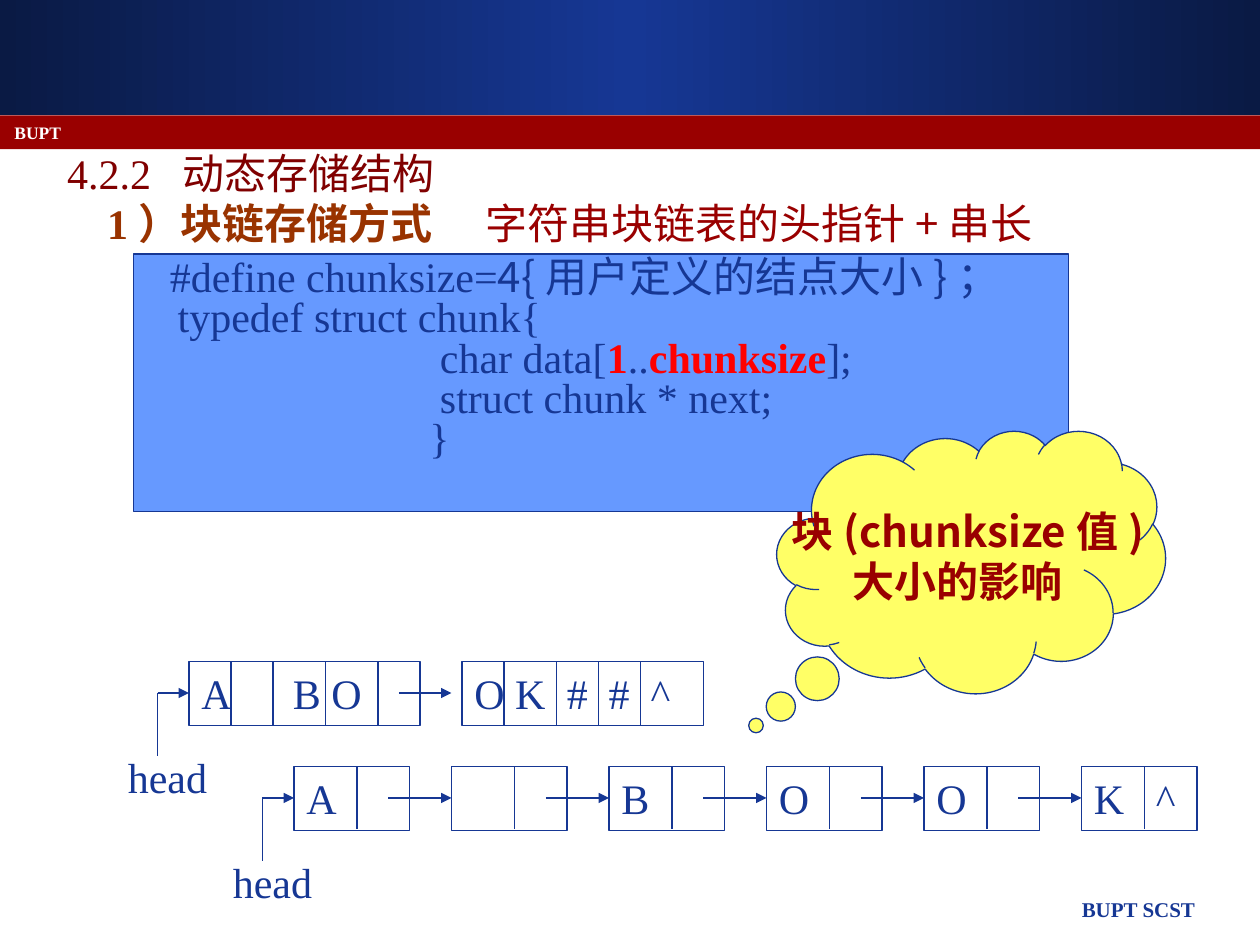
from copy import deepcopy
from lxml.etree import SubElement
from pptx import Presentation
from pptx.dml.color import RGBColor
from pptx.enum.shapes import MSO_CONNECTOR, MSO_SHAPE as Kind
from pptx.enum.text import MSO_ANCHOR as Anchor, MSO_AUTO_SIZE as Fit, PP_ALIGN as Align
from pptx.oxml.ns import qn
from pptx.util import Inches, Pt

hue = RGBColor.from_string
NAVY, DARK, RED, WHITE = "163794", "0A1A44", "990000", "FFFFFF"
SERIF, SANS = "Times New Roman", "Noto Sans CJK SC"

deck = Presentation()
deck.slide_width, deck.slide_height = Inches(10), Inches(7.5)
col, row = deck.slide_width / 120, deck.slide_height / 90
slide = deck.slides.add_slide(deck.slide_layouts[1])
shapes = slide.shapes


def write(paragraph, text, color=NAVY, size=24, bold=False, font=SERIF):
    run = paragraph.add_run()
    run.text = text
    run.font.size, run.font.bold = Pt(size), bold
    run.font.color.rgb = hue(color)
    run.font.name = font
    SubElement(run._r.get_or_add_rPr(), qn("a:ea"), typeface=SANS)


def set_tabs(paragraph, stops):
    tab_list = SubElement(paragraph._p.get_or_add_pPr(), qn("a:tabLst"))
    for stop in stops:
        SubElement(tab_list, qn("a:tab"), pos=str(int(stop * col)), algn="l")


section, method = shapes.title, slide.placeholders[1]
for holder, x, y, h, anchor in ((section, 5.2, 11.9, 9, Anchor.MIDDLE),
                                (method, 9, 18.25, 6, Anchor.TOP)):
    holder.left, holder.top = int(x * col), int(y * row)
    holder.width, holder.height = int(102 * col), int(h * row)
    holder.text_frame.auto_size = Fit.NONE
    holder.text_frame.vertical_anchor = anchor

heading = section.text_frame.paragraphs[0]
heading.alignment = Align.LEFT
set_tabs(heading, [11])
write(heading, "4.2.2\t动态存储结构", "800000")

storage = method.text_frame.paragraphs[0]
storage.space_before = Pt(0)
props = storage._p.get_or_add_pPr()
props.set("marL", "0")
props.set("indent", "0")
SubElement(props, qn("a:buNone"))
set_tabs(storage, [34.2])
write(storage, "1）块链存储方式", "993300", bold=True)
write(storage, "\t字符串块链表的头指针+串长", RED, font=SANS)

outlines = (
    (Kind.RECTANGLE, 0, 0, 120, 10.95, NAVY, None),
    (Kind.RECTANGLE, 0, 11, 120, 3.2, RED, None),
    (Kind.RECTANGLE, 12.75, 24.2, 89, 24.5, "6699FF", NAVY),
    (Kind.RECTANGLE, 18, 63, 22, 6.1, None, NAVY),
    (Kind.RECTANGLE, 44, 63, 23, 6.1, None, NAVY),
    *((Kind.RECTANGLE, 28 + 15 * i, 73, 11, 6.1, None, NAVY) for i in range(6)),
    (Kind.CLOUD_CALLOUT, 74, 41, 37, 25, "FFFF66", NAVY),
)
drawn = []
for kind, x, y, w, h, fill, line in outlines:
    shape = shapes.add_shape(kind, int(x * col), int(y * row), int(w * col), int(h * row))
    shape.shadow.inherit = False
    if fill:
        shape.fill.solid()
        shape.fill.fore_color.rgb = hue(fill)
    else:
        shape.fill.background()
    if line:
        shape.line.color.rgb = hue(line)
        shape.line.width = Pt(0.75)
    else:
        shape.line.fill.background()
    shape.text_frame.vertical_anchor = Anchor.TOP
    drawn.append(shape)
banner, strip, code, *nodes, cloud = drawn

banner.fill.gradient()
banner.fill.gradient_angle = 0
stops = banner._element.spPr.find(".//" + qn("a:gsLst"))
stops.append(deepcopy(stops[-1]))
for stop, color, place in zip(banner.fill.gradient_stops, (DARK, NAVY, DARK), (0, 0.5, 1)):
    stop.color.rgb = hue(color)
    stop.position = place

code_lines = (
    (("   ", NAVY, 18), ("#define chunksize=",), ("4{用户定义的结点大小}；", NAVY, 24, False, SANS)),
    (("   typedef struct chunk{",),),
    (("                            char data[",), ("1", "FF0000", 24, True), ("..",),
     ("chunksize", "FF0000", 24, True), ("];",)),
    (("                            struct chunk * next;",),),
    (("                           }",),),
)
for i, pieces in enumerate(code_lines):
    statement = code.text_frame.add_paragraph() if i else code.text_frame.paragraphs[0]
    statement.alignment = Align.LEFT
    statement.line_spacing = 0.8
    for piece in pieces:
        write(statement, *piece)

contents = (("A\tB O", (8.7,)), ("O K\t#\t#\t^", (8.8, 12.8, 16.8)),
            ("A", ()), ("", ()), ("B", ()), ("O", ()), ("O", ()), ("K\t^", (5.9,)))
for node, (letters, tab_stops) in zip(nodes, contents):
    node.text_frame.word_wrap = True
    cell = node.text_frame.paragraphs[0]
    cell.alignment = Align.LEFT
    if tab_stops:
        set_tabs(cell, tab_stops)
    if letters:
        write(cell, letters)

walls = [(x, 63) for x in (22, 26, 31, 36, 48, 53, 57, 61)]
walls += [(34 + 15 * i, 73) for i in range(6)]
links = [(x, y, x, y + 6, False) for x, y in walls]
links += [(37 + 15 * i, 76, 43 + 15 * i, 76, True) for i in range(5)]
links += [(38, 66, 43, 66, True)]
for x, y in ((15, 66), (25, 76)):
    links += [(x, y, x + 3, y, True), (x, y, x, y + 6, False)]
for x1, y1, x2, y2, arrow in links:
    link = shapes.add_connector(MSO_CONNECTOR.STRAIGHT, int(x1 * col), int(y1 * row),
                                int(x2 * col), int(y2 * row))
    link.line.color.rgb = hue(NAVY)
    link.line.width = Pt(0.75)
    if arrow:
        SubElement(link.line._get_or_add_ln(), qn("a:tailEnd"), type="triangle")
    SubElement(link._element.spPr, qn("a:effectLst"))

labels = (
    ("BUPT SCST", 50.5, 84.8, 64.5, 4.2, NAVY, 12, True, Align.RIGHT),
    ("BUPT", 0.2, 11, 111, 3, WHITE, 10, True, Align.LEFT),
    ("head", 11, 71, 17, 6, NAVY, 24, False, Align.LEFT),
    ("head", 21, 81, 17, 6, NAVY, 24, False, Align.LEFT),
)
for text, x, y, w, h, color, size, bold, align in labels:
    label = shapes.add_textbox(int(x * col), int(y * row), int(w * col), int(h * row))
    label.text_frame.word_wrap = True
    caption = label.text_frame.paragraphs[0]
    caption.alignment = align
    write(caption, text, color, size, bold)

cloud.adjustments[0], cloud.adjustments[1] = -0.554, 0.624
cloud.text_frame.word_wrap = False
cloud.text_frame.vertical_anchor = Anchor.MIDDLE
for i, (text, indent) in enumerate((("块(chunksize值)", 2), ("大小的影响", 0))):
    thought = cloud.text_frame.add_paragraph() if i else cloud.text_frame.paragraphs[0]
    thought.alignment = Align.CENTER
    thought._p.get_or_add_pPr().set("marL", str(int(indent * col)))
    write(thought, text, RED, bold=True, font=SANS)

deck.save("out.pptx")
